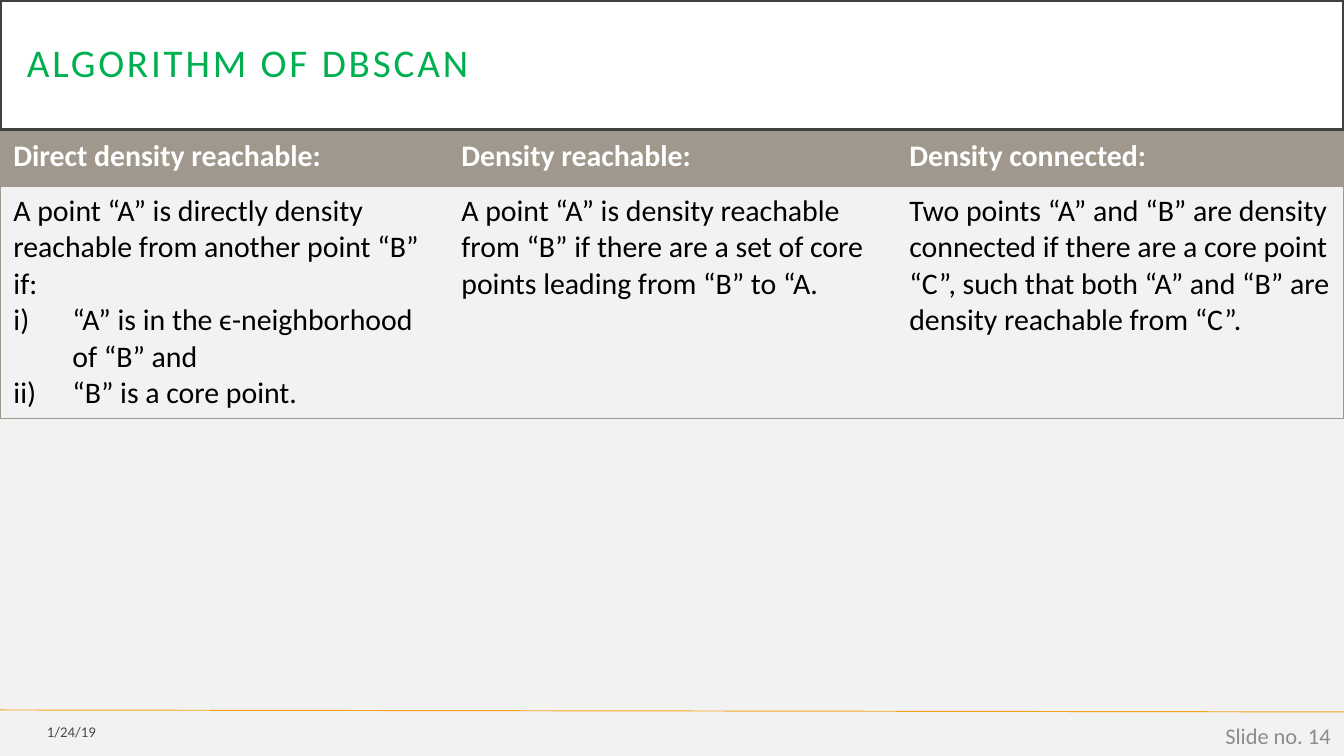
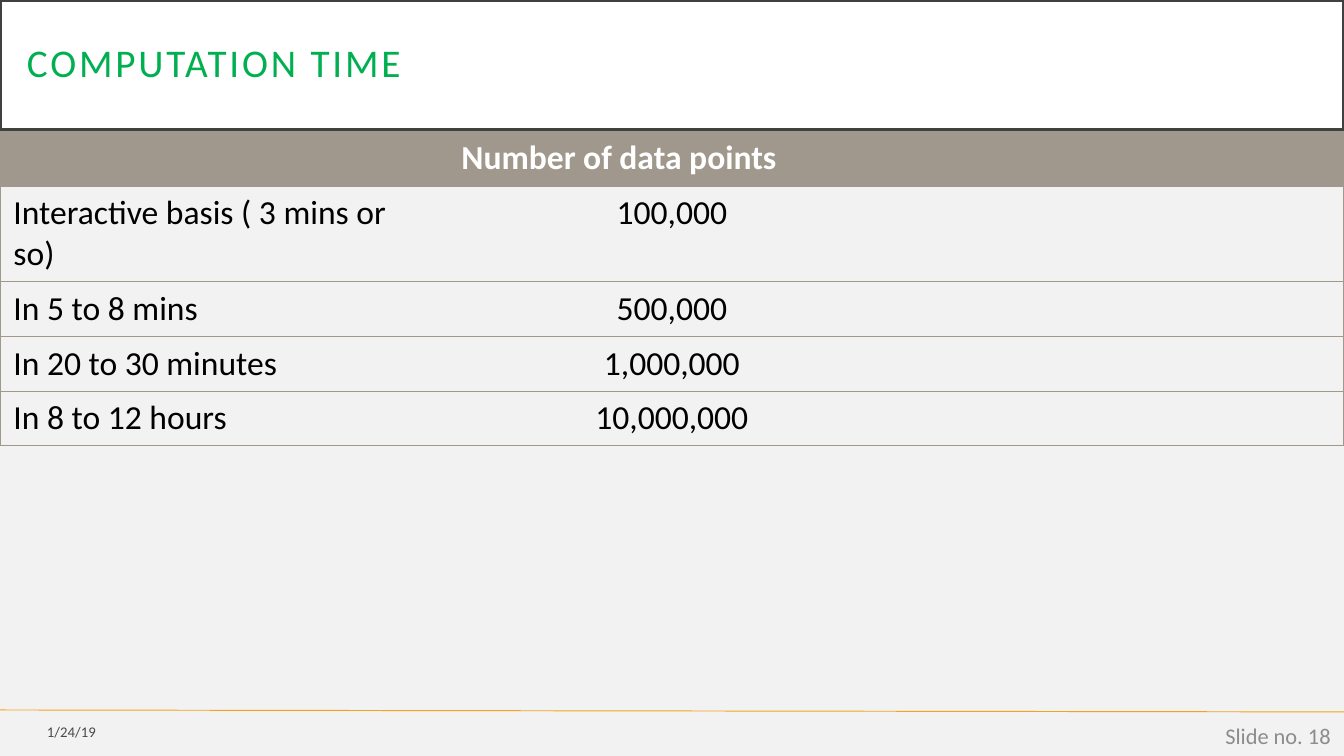
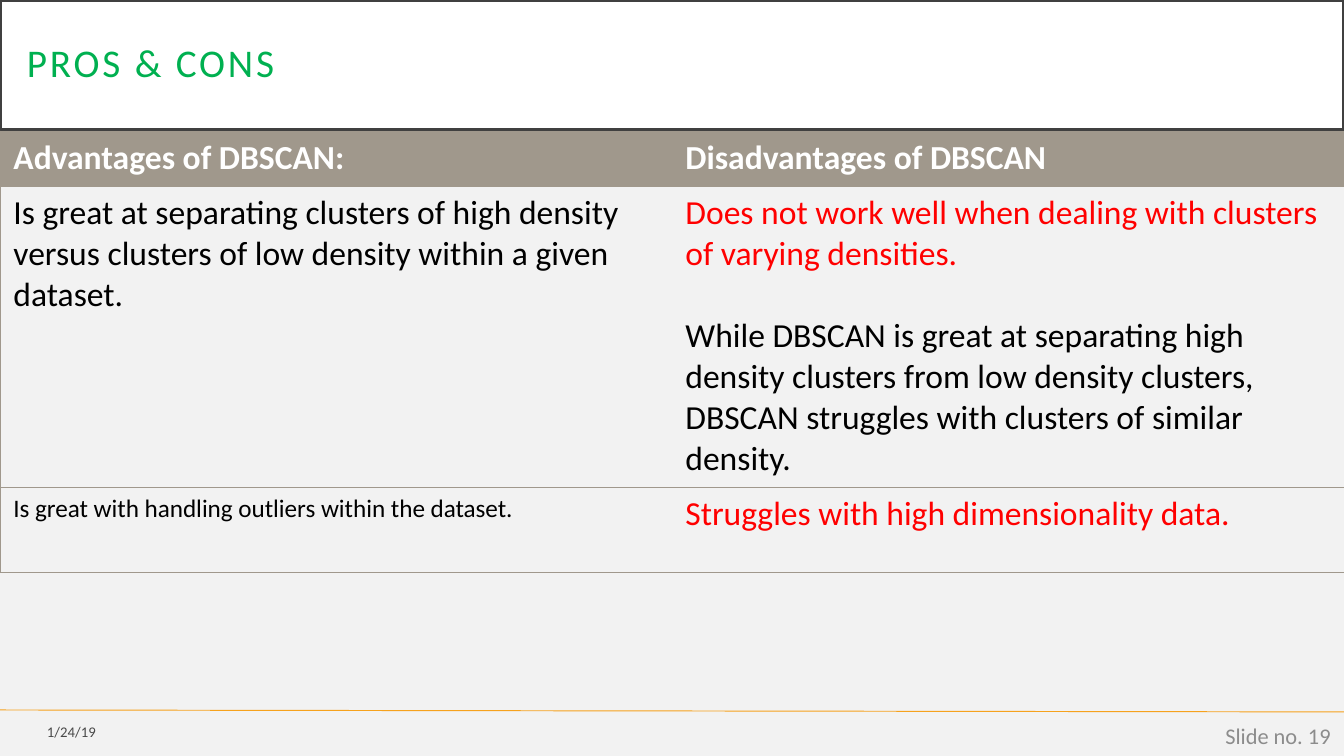
import pptx
import pptx.util
import pptx.dml.color
import pptx.enum.shapes
import pptx.enum.text
import pptx.oxml.ns
from lxml import etree

qn = pptx.oxml.ns.qn
Pt = pptx.util.Pt
ALIGN = pptx.enum.text.PP_ALIGN
MIDDLE = pptx.enum.text.MSO_ANCHOR.MIDDLE
HUE = {
    "page": "F2F2F2", "white": "FFFFFF", "frame": "404040", "title": "00B050",
    "band": "A0988C", "rule": "F6A21D", "text": "000000", "warn": "FF0000",
    "date": "494949", "number": "8C8C8C",
}
PLAIN = "{2D5ABB26-0587-4C30-8999-92F81FD0307C}"
WIDE, HIGH, TOP = 1344, 756, 131


def px(n):
    return round(n * 914400 / 134.4)


def style(para, size, hue, bold=False):
    for run in para.runs:
        run.font.name = "Calibri"
        run.font.size = Pt(size)
        run.font.bold = bold
        run.font.color.rgb = pptx.dml.color.RGBColor.from_string(HUE[hue])


# Title, slide number, text size, row heights, rows
pages = [
    ("ALGORITHM OF DBSCAN", 14, 16, [55, 232], [
        ["Direct density reachable:", "Density reachable:", "Density connected:"],
        ["A point “A” is directly density reachable from another point “B” if:\n"
         "“A” is in the ϵ-neighborhood of “B” and\n“B” is a core point.",
         "A point “A” is density reachable from “B” if there are a set of core "
         "points leading from “B” to “A.",
         "Two points “A” and “B” are density connected if there are a core point "
         "“C”, such that both “A” and “B” are density reachable from “C”."],
    ]),
    ("COMPUTATION TIME", 18, 18, [55, 95, 55, 54, 54], [
        ["", "Number of data points", ""],
        ["Interactive basis ( 3 mins or so)", "100,000", ""],
        ["In 5 to 8 mins", "500,000", ""],
        ["In 20 to 30 minutes", "1,000,000", ""],
        ["In 8 to 12 hours", "10,000,000", ""],
    ]),
    ("PROS & CONS", 19, 18, [55, 301, 85], [
        ["Advantages of DBSCAN:", "Disadvantages of DBSCAN"],
        ["Is great at separating clusters of high density versus clusters of low "
         "density within a given dataset.",
         "Does not work well when dealing with clusters of varying densities.\n"
         "While DBSCAN is great at separating high density clusters from low "
         "density clusters, DBSCAN struggles with clusters of similar density."],
        ["Is great with handling outliers within the dataset.",
         "Struggles with high dimensionality data."],
    ]),
]

deck = pptx.Presentation()
deck.slide_width, deck.slide_height = px(WIDE), px(HIGH)
back = deck.slide_master.background.fill
back.solid()
back.fore_color.rgb = pptx.dml.color.RGBColor.from_string(HUE["page"])

grids = []
for name, number, size, heights, rows in pages:
    slide = deck.slides.add_slide(deck.slide_layouts[5])

    title = slide.shapes.title
    title.left, title.top, title.width, title.height = 0, 0, px(WIDE), px(130)
    title.fill.solid()
    title.fill.fore_color.rgb = pptx.dml.color.RGBColor.from_string(HUE["white"])
    title.line.color.rgb = pptx.dml.color.RGBColor.from_string(HUE["frame"])
    title.line.width = Pt(2.5)
    frame = title.text_frame
    frame.text = name
    frame.vertical_anchor = MIDDLE
    frame.auto_size = pptx.enum.text.MSO_AUTO_SIZE.NONE
    frame.margin_left = frame.margin_right = px(27)
    frame.margin_top = frame.margin_bottom = px(27)
    head = frame.paragraphs[0]
    head.alignment = ALIGN.LEFT
    head.line_spacing = 0.9
    style(head, 21, "title")
    head.runs[0].font._element.set("spc", "150")

    cols = len(rows[0])
    grid = slide.shapes.add_table(
        len(rows), cols, 0, px(TOP), px(WIDE), px(sum(heights))).table
    grids.append(grid)
    grid.first_row = grid.horz_banding = False
    grid._tbl.tblPr.find(qn("a:tableStyleId")).text = PLAIN
    for col in grid.columns:
        col.width = px(WIDE / cols)
    for r, row in enumerate(rows):
        grid.rows[r].height = px(heights[r])
        for c, text in enumerate(row):
            cell = grid.cell(r, c)
            cell.text_frame.text = text
            for para in cell.text_frame.paragraphs:
                style(para, size, "text" if r else "white", r == 0)
            if r:
                cell.fill.background()
            else:
                cell.fill.solid()
                cell.fill.fore_color.rgb = pptx.dml.color.RGBColor.from_string(
                    HUE["band"])
            sides = ["lnL"] * (c == 0) + ["lnR"] * (c == cols - 1) + ["lnT", "lnB"]
            for spot, side in enumerate(sides):
                edge = etree.Element(qn("a:" + side), w="6350")
                paint = etree.SubElement(edge, qn("a:solidFill"))
                etree.SubElement(paint, qn("a:srgbClr"), val=HUE["band"])
                cell._tc.get_or_add_tcPr().insert(spot, edge)

    for left, top, width, height, text, pts, hue in [
            (0, 714, 109, 36, "1/24/19", 7.9, "date"),
            (1042, 716, 302, 40, f"Slide no. {number}", 12, "number")]:
        box = slide.shapes.add_textbox(px(left), px(top), px(width), px(height))
        box.text_frame.word_wrap = True
        box.text_frame.vertical_anchor = MIDDLE
        box.text_frame.text = text
        box.text_frame.paragraphs[0].alignment = ALIGN.RIGHT
        style(box.text_frame.paragraphs[0], pts, hue)

# Footer rule, shared through the master
rule = slide.shapes.add_connector(
    pptx.enum.shapes.MSO_CONNECTOR.STRAIGHT, 0, px(710), px(WIDE), px(712))
rule.line.color.rgb = pptx.dml.color.RGBColor.from_string(HUE["rule"])
rule.line.width = Pt(0.5)
etree.SubElement(rule._element.spPr, qn("a:effectLst"))
deck.slide_master.shapes._spTree.append(rule._element)

terms, times, views = grids

# Roman numbering of the two conditions
for para in terms.cell(1, 0).text_frame.paragraphs[1:]:
    prop = para._p.get_or_add_pPr()
    prop.set("marL", str(px(59)))
    prop.set("indent", str(px(-59)))
    etree.SubElement(prop, qn("a:buAutoNum"), type="romanLcParenR")

for r in range(1, 5):
    times.cell(r, 1).text_frame.paragraphs[0].alignment = ALIGN.CENTER

for r in (1, 2):
    style(views.cell(r, 1).text_frame.paragraphs[0], 18, "warn")
views.cell(1, 1).text_frame.paragraphs[0].space_after = Pt(22)
style(views.cell(2, 0).text_frame.paragraphs[0], 13.5, "text")

deck.save("out.pptx")
